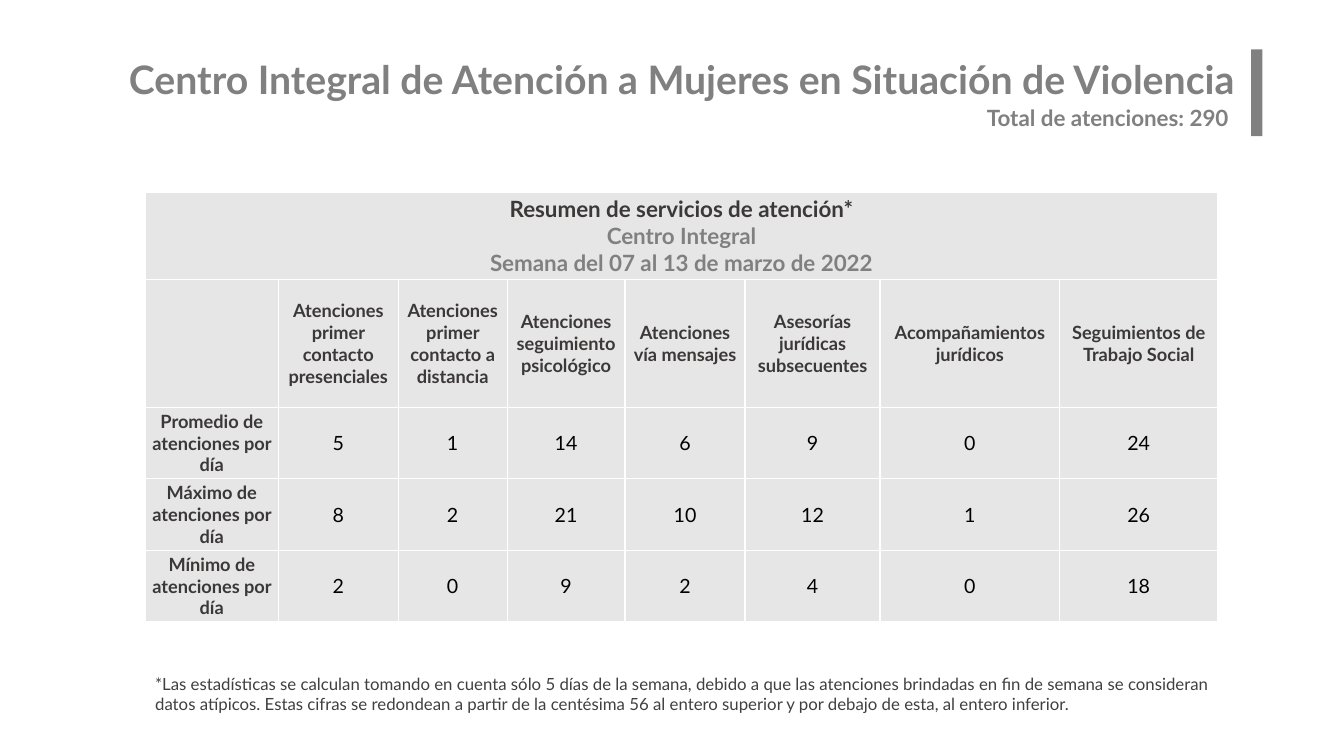
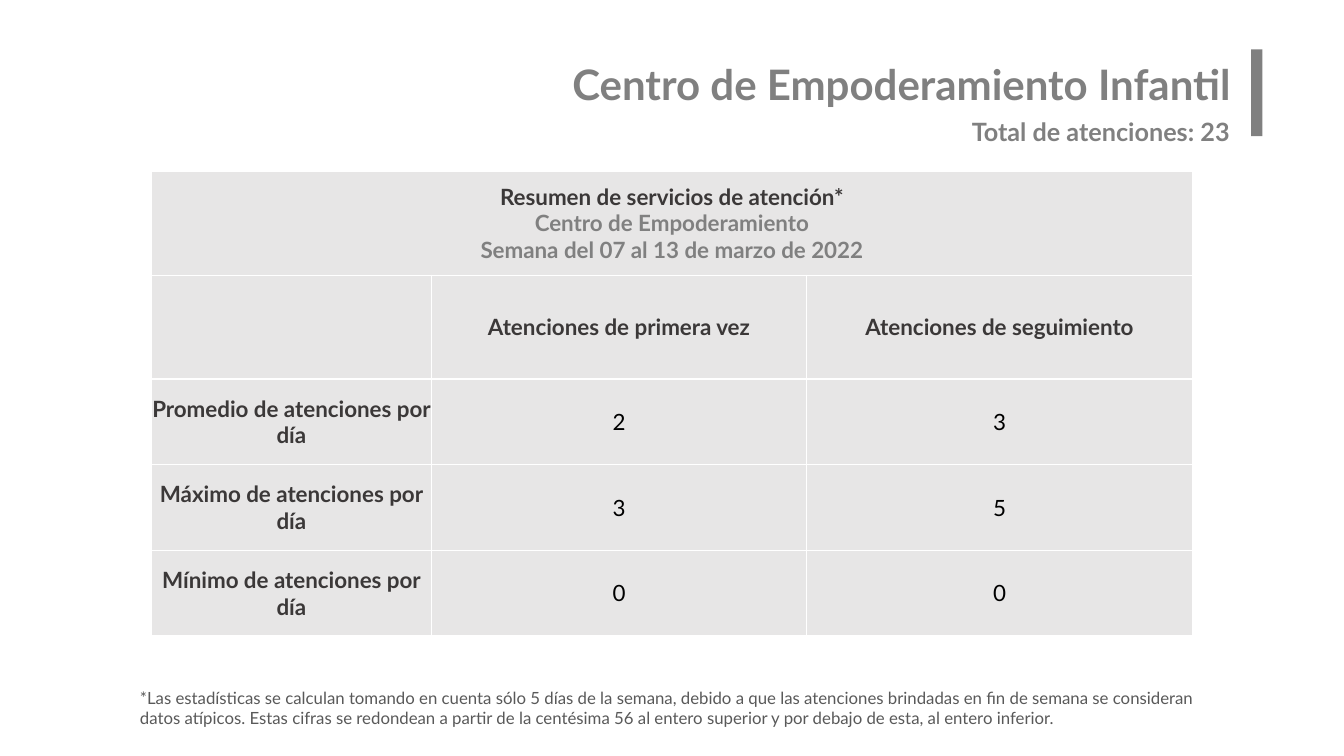
from lxml import etree
from pptx import Presentation
from pptx.dml.color import RGBColor
from pptx.enum.shapes import MSO_SHAPE as Shape
from pptx.enum.text import MSO_ANCHOR as Anchor, MSO_AUTO_SIZE as AutoSize, PP_ALIGN as Align
from pptx.oxml.ns import qn
from pptx.util import Pt

PX = 9144
FONT = "Lato"
GRAY = RGBColor(0x80, 0x80, 0x80)
DARK = RGBColor(0x3B, 0x38, 0x38)
BLACK = RGBColor(0, 0, 0)
WHITE = RGBColor(0xFF, 0xFF, 0xFF)
CELL = RGBColor(0xE7, 0xE6, 0xE6)
NOTE_DARK = RGBColor(0x40, 0x40, 0x40)
NOTE_LIGHT = RGBColor(0x59, 0x59, 0x59)

SUMMARY = "Resumen de servicios de atención*"
WEEK = "Semana del 07 al 13 de marzo de 2022"
MEASURES = [f"{m} de atenciones por día" for m in ("Promedio", "Máximo", "Mínimo")]
NOTE = (
    "*Las estadísticas se calculan tomando en cuenta sólo 5 días de la semana, "
    "debido a que las atenciones brindadas en fin de semana se consideran datos "
    "atípicos. Estas cifras se redondean a partir de la centésima 56 al entero "
    "superior y por debajo de esta, al entero inferior."
)


def write(p, text, size=16, color=DARK, bold=False, align=Align.LEFT):
    p.text = text
    p.alignment = align
    for r in p.runs:
        r.font.name = FONT
        r.font.size = Pt(size)
        r.font.bold = bold
        r.font.color.rgb = color


class Deck:
    def __init__(self, width, height):
        self.prs = Presentation()
        self.prs.slide_width = width * PX
        self.prs.slide_height = height * PX
        self.s = None

    def slide(self):
        self.s = self.prs.slides.add_slide(self.prs.slide_layouts[6])
        self.bar(1241, 49, 11, 86)

    def bar(self, x, y, w, h):
        sp = self.s.shapes.add_shape(Shape.RECTANGLE, x * PX, y * PX, w * PX, h * PX)
        sp.shadow.inherit = False
        sp.fill.solid()
        sp.fill.fore_color.rgb = GRAY
        sp.line.fill.background()

    def text(self, box, text, inset=(10, 5), grow=True, **fmt):
        sp = self.s.shapes.add_textbox(*(v * PX for v in box))
        tf = sp.text_frame
        tf.word_wrap = True
        tf.auto_size = AutoSize.SHAPE_TO_FIT_TEXT if grow else AutoSize.NONE
        tf.margin_left = tf.margin_right = inset[0] * PX
        tf.margin_top = tf.margin_bottom = inset[1] * PX
        write(tf.paragraphs[0], text, **fmt)

    def title(self, box, text, size):
        self.text(box, text, inset=(20, 10), grow=False,
                  size=size, color=GRAY, bold=True, align=Align.RIGHT)

    def total(self, box, count, size):
        self.text(box, f"Total de atenciones: {count}", size=size, color=GRAY, bold=True)

    def note(self, box, color):
        self.text(box, NOTE, size=12, color=color)

    def style_cell(self, cell):
        tcPr = cell._tc.get_or_add_tcPr()
        for side in ("a:lnL", "a:lnR", "a:lnT", "a:lnB"):
            ln = etree.SubElement(tcPr, qn(side), w=str(Pt(1)))
            fill = etree.SubElement(ln, qn("a:solidFill"))
            etree.SubElement(fill, qn("a:srgbClr"), val=str(WHITE))
        cell.fill.solid()
        cell.fill.fore_color.rgb = CELL
        cell.vertical_anchor = Anchor.MIDDLE
        cell.margin_left = cell.margin_right = cell.margin_top = cell.margin_bottom = 0

    def table(self, x, y, cols, rows, center, heads, values, label_size, value_size):
        tbl = self.s.shapes.add_table(
            len(rows), len(cols), x * PX, y * PX, sum(cols) * PX, sum(rows) * PX).table
        tbl.first_row = tbl.horz_banding = False
        for col, w in zip(tbl.columns, cols):
            col.width = w * PX
        for row, h in zip(tbl.rows, rows):
            row.height = h * PX
        for cell in tbl.iter_cells():
            self.style_cell(cell)

        banner = tbl.cell(0, 0)
        banner.merge(tbl.cell(0, len(cols) - 1))
        tf = banner.text_frame
        write(tf.paragraphs[0], SUMMARY, bold=True, align=Align.CENTER)
        for line in (center, WEEK):
            write(tf.add_paragraph(), line, color=GRAY, bold=True, align=Align.CENTER)

        grid = [["", *heads]] + [[m, *vals] for m, vals in zip(MEASURES, values)]
        for i, line in enumerate(grid):
            for j, item in enumerate(line):
                label = i == 0 or j == 0
                write(tbl.cell(i + 1, j).text_frame.paragraphs[0], str(item),
                      size=label_size if label else value_size,
                      color=DARK if label else BLACK,
                      bold=label, align=Align.CENTER)


def main():
    deck = Deck(1333, 750)

    deck.slide()
    deck.table(
        144, 191, [132, 119, 108, 117, 119, 134, 178, 157], [86, 127, 71, 71, 71],
        "Centro Integral",
        ["Atenciones primer contacto presenciales",
         "Atenciones primer contacto a distancia",
         "Atenciones seguimiento psicológico",
         "Atenciones\nvía mensajes",
         "Asesorías jurídicas subsecuentes",
         "Acompañamientos jurídicos",
         "Seguimientos de Trabajo Social"],
        [[5, 1, 14, 6, 9, 0, 24],
         [8, 2, 21, 10, 12, 1, 26],
         [2, 0, 9, 2, 4, 0, 18]],
        label_size=13, value_size=14)
    deck.title((63, 45, 1181, 87),
               "Centro Integral de Atención a Mujeres en Situación de Violencia", 28)
    deck.total((969, 98, 285, 37), 290, 16)
    deck.note((144, 663, 1081, 50), NOTE_DARK)

    deck.slide()
    deck.table(
        150, 170, [278, 372, 383], [103, 103, 85, 85, 85],
        "Centro de Empoderamiento",
        ["Atenciones de primera vez", "Atenciones de seguimiento"],
        [[2, 3], [3, 5], [0, 0]],
        label_size=16, value_size=16)
    deck.title((214, 48, 1027, 87), "Centro de Empoderamiento Infantil", 30)
    deck.total((954, 110, 287, 40), 23, 18)
    deck.note((129, 677, 1076, 50), NOTE_LIGHT)

    deck.prs.save("out.pptx")


if __name__ == "__main__":
    main()
